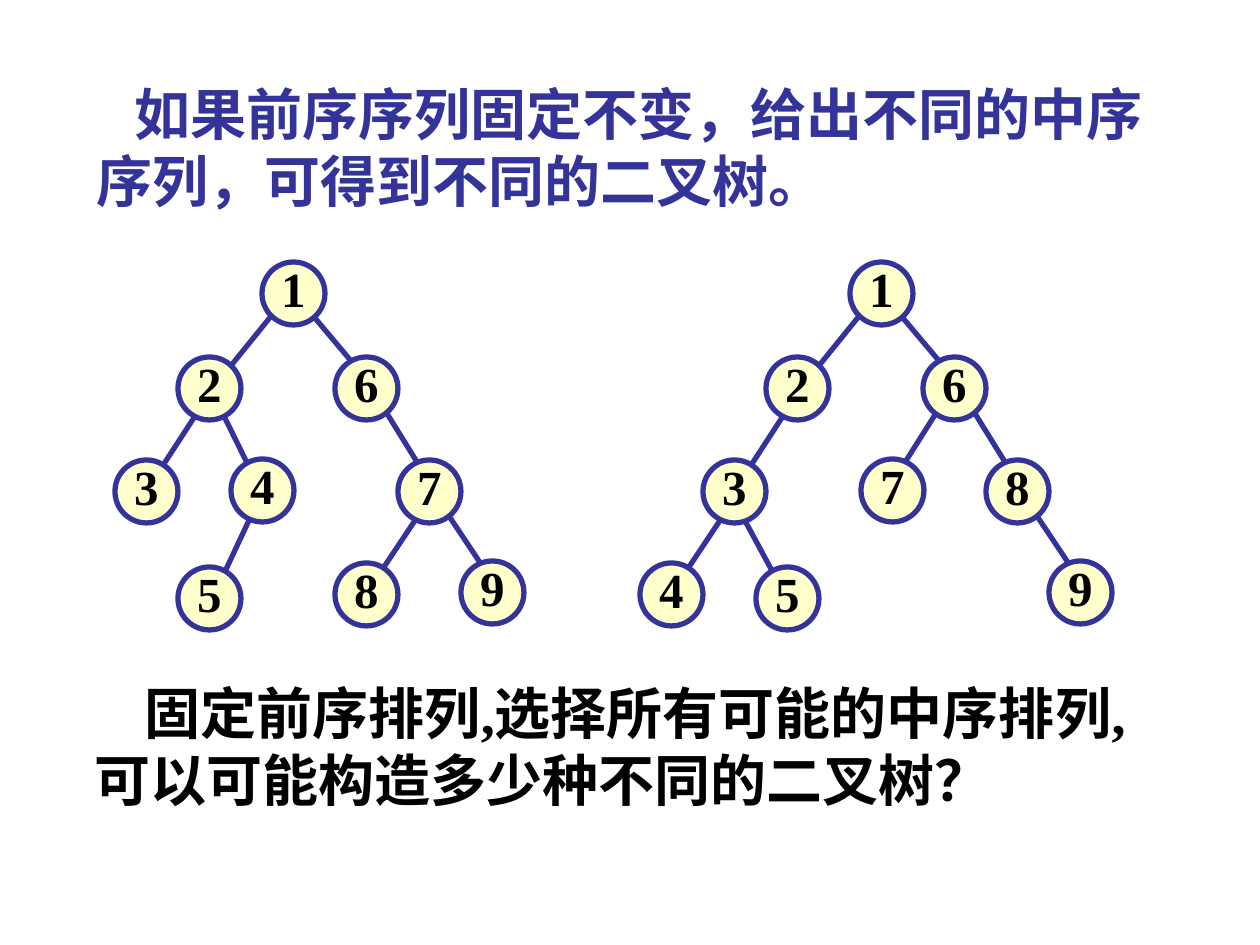
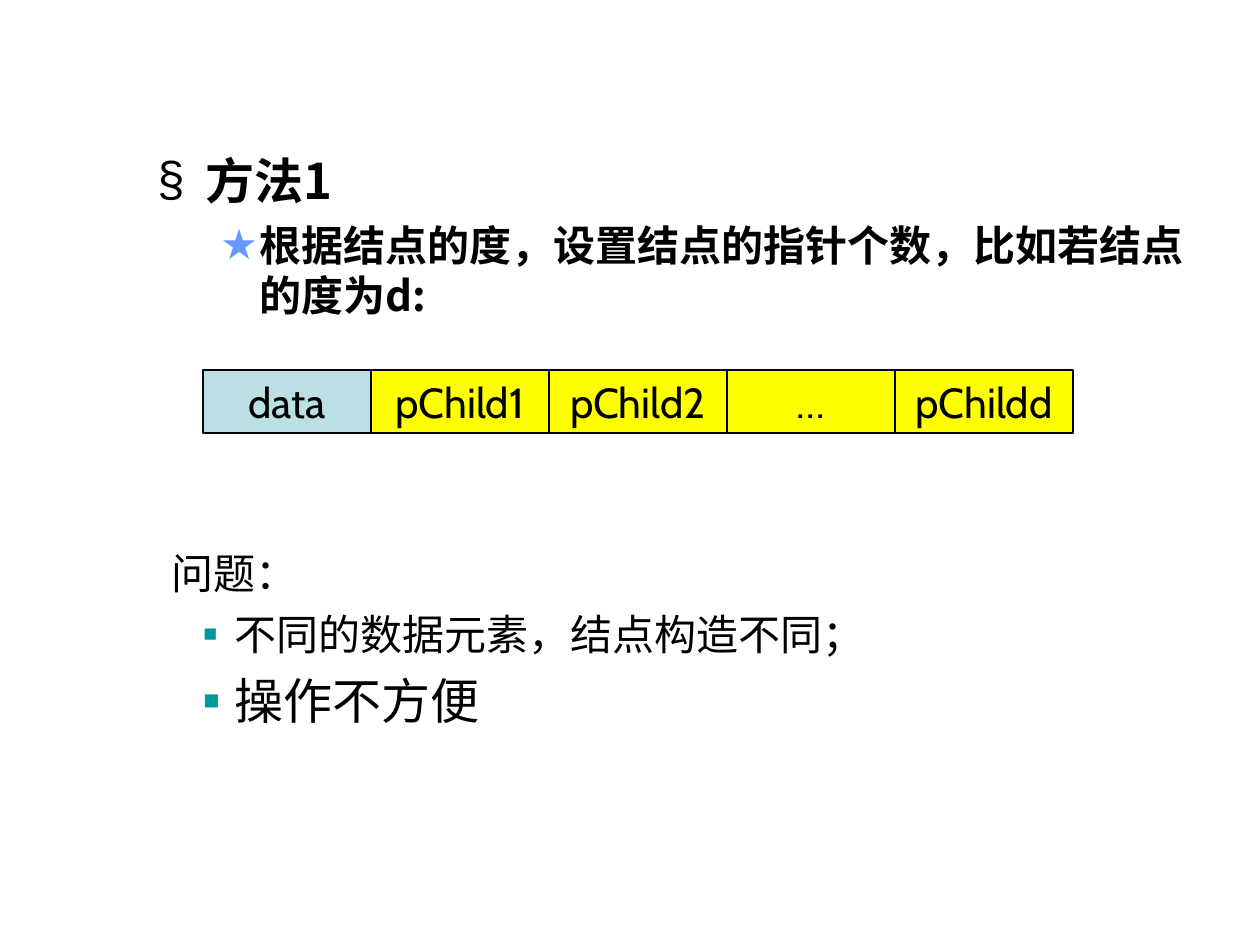
"""Build two slides on binary trees from a preorder and on tree node storage."""
from dataclasses import dataclass

from lxml import etree
from pptx import Presentation
from pptx import util as u
from pptx.dml.color import RGBColor
from pptx.enum import shapes, text
from pptx.oxml.ns import qn

EMU_PER_PX = 914400 / 126
SLIDE_W, SLIDE_H = 1260, 945
INK, NAVY, CREAM = "000000", "333399", "FFFFCC"
PALE_BLUE, YELLOW, SKY, TEAL = "BBE0E3", "FFFF00", "6699FF", "009999"
CJK, SERIF, SANS, CABIN = "Noto Sans CJK SC", "Times New Roman", "Arial", "Cabin"
NODE_SIZE = 63


@dataclass(frozen=True)
class Line:
    content: str
    size: int
    font: str = CJK
    color: str = INK
    bold: bool = False
    margin: int = 0
    indent: int = 0
    before: int = 0
    level: int = 0
    bullet: str = ""
    bullet_color: str = INK
    bullet_percent: int = 100


@dataclass(frozen=True)
class Node:
    key: str
    x: int
    y: int


@dataclass(frozen=True)
class Edge:
    x1: int
    y1: int
    x2: int
    y2: int


@dataclass(frozen=True)
class Tree:
    left: int
    frame_keys: str
    nodes: tuple[Node, ...]
    edges: tuple[Edge, ...]


@dataclass(frozen=True)
class Field:
    label: str
    width: int
    fill: str = YELLOW


FRAME_SPOTS = ((262, 262), (178, 357), (335, 357), (115, 460), (398, 460), (461, 561))
FRAME_EDGES = (
    Edge(272, 315, 221, 378),
    Edge(304, 305, 357, 368),
    Edge(199, 410, 158, 473),
    Edge(378, 399, 430, 483),
    Edge(441, 504, 483, 567),
)
TREES = (
    Tree(0, "126379",
         (Node("4", 231, 459), Node("5", 178, 567), Node("8", 335, 563)),
         (Edge(221, 410, 252, 473), Edge(252, 514, 221, 580), Edge(420, 513, 378, 576))),
    Tree(588, "126389",
         (Node("7", 273, 459), Node("5", 168, 567), Node("4", 52, 563)),
         (Edge(357, 399, 304, 483), Edge(137, 513, 95, 576), Edge(148, 504, 189, 580))),
)
FIELDS = (
    Field("data", 168, PALE_BLUE),
    Field("pChild1", 178),
    Field("pChild2", 178),
    Field("…", 168),
    Field("pChildd", 178),
)


def px(length: int) -> u.Emu:
    """Turn px into EMU."""
    return u.Emu(round(length * EMU_PER_PX))


def rgb(value: str) -> RGBColor:
    """Turn a hex string into a colour."""
    return RGBColor.from_string(value)


def format_line(paragraph, line: Line) -> None:
    """Fill one paragraph and give it its bullet, spacing and font."""
    paragraph.text = line.content
    paragraph.level = line.level
    if line.before:
        paragraph.space_before = u.Pt(line.before)
    properties = paragraph._p.get_or_add_pPr()
    properties.set("marL", str(px(line.margin)))
    properties.set("indent", str(px(line.indent)))
    if line.bullet:
        tint = etree.SubElement(properties, qn("a:buClr"))
        etree.SubElement(tint, qn("a:srgbClr"), val=line.bullet_color)
        etree.SubElement(properties, qn("a:buSzPct"), val=str(line.bullet_percent * 1000))
        etree.SubElement(properties, qn("a:buFont"), typeface=SANS)
        etree.SubElement(properties, qn("a:buChar"), char=line.bullet)
    for run in paragraph.runs:
        run.font.size = u.Pt(line.size)
        run.font.bold = line.bold
        run.font.name = line.font
        run.font.color.rgb = rgb(line.color)
        etree.SubElement(run._r.get_or_add_rPr(), qn("a:ea"), typeface=CJK)


def add_text(slide, x: int, y: int, width: int, height: int, *lines: Line) -> None:
    """Add a wrapping text box with one paragraph per line."""
    frame = slide.shapes.add_textbox(px(x), px(y), px(width), px(height)).text_frame
    frame.word_wrap = True
    for index, line in enumerate(lines):
        format_line(frame.add_paragraph() if index else frame.paragraphs[0], line)


def add_labelled(slide, kind, x: int, y: int, width: int, height: int,
                 fill: str, border: str, weight: float, label: Line):
    """Add a filled preset shape with a centred label and return its text frame."""
    shape = slide.shapes.add_shape(kind, px(x), px(y), px(width), px(height))
    shape.shadow.inherit = False
    shape.fill.solid()
    shape.fill.fore_color.rgb = rgb(fill)
    shape.line.color.rgb = rgb(border)
    shape.line.width = u.Pt(weight)
    frame = shape.text_frame
    frame.word_wrap = False
    frame.vertical_anchor = text.MSO_ANCHOR.MIDDLE
    format_line(frame.paragraphs[0], label)
    frame.paragraphs[0].alignment = text.PP_ALIGN.CENTER
    return frame


def add_edge(slide, left: int, edge: Edge) -> None:
    """Draw one branch of a tree."""
    branch = slide.shapes.add_connector(
        shapes.MSO_CONNECTOR.STRAIGHT,
        px(left + edge.x1), px(edge.y1), px(left + edge.x2), px(edge.y2))
    branch.line.color.rgb = rgb(NAVY)
    branch.line.width = u.Pt(3)
    etree.SubElement(branch._element.spPr, qn("a:effectLst"))


def add_node(slide, left: int, node: Node) -> None:
    """Draw one numbered tree node."""
    frame = add_labelled(slide, shapes.MSO_SHAPE.OVAL, left + node.x, node.y, NODE_SIZE, NODE_SIZE,
                         CREAM, NAVY, 3, Line(node.key, 28, SERIF, bold=True))
    frame.margin_left = frame.margin_right = frame.margin_top = 0
    frame.margin_bottom = px(11)


def add_tree(slide, tree: Tree) -> None:
    """Draw the branches of a tree and then its nodes."""
    for edge in FRAME_EDGES + tree.edges:
        add_edge(slide, tree.left, edge)
    frame_nodes = tuple(Node(key, *spot) for key, spot in zip(tree.frame_keys, FRAME_SPOTS))
    for node in frame_nodes + tree.nodes:
        add_node(slide, tree.left, node)


def build_preorder_slide(slide) -> None:
    """Show two trees that share one preorder sequence."""
    add_text(slide, 84, 73, 1103, 147,
             Line("如果前序序列固定不变，给出不同的中序序列，可得到不同的二叉树。",
                  32, SANS, NAVY, True, indent=38))
    for tree in TREES:
        add_tree(slide, tree)
    add_text(slide, 82, 672, 1094, 147,
             Line("固定前序排列,选择所有可能的中序排列,可以可能构造多少种不同的二叉树？",
                  32, SERIF, bold=True, indent=50))


def build_storage_slide(slide) -> None:
    """Show a node record with one pointer per child and its drawbacks."""
    add_text(slide, 145, 144, 1071, 184,
             Line("方法1", 28, bold=True, margin=48, indent=-48, bullet="§"),
             Line("根据结点的度，设置结点的指针个数，比如若结点的度为d:", 24, bold=True,
                  margin=102, indent=-39, before=6, level=1, bullet="★", bullet_color=SKY))
    x = 203
    for field in FIELDS:
        add_labelled(slide, shapes.MSO_SHAPE.RECTANGLE, x, 370, field.width, 63,
                     field.fill, INK, 0.75, Line(field.label, 24, CABIN))
        x += field.width
    square = dict(margin=63, indent=-31, level=1, bullet="■", bullet_color=TEAL, bullet_percent=55)
    add_text(slide, 159, 541, 736, 255,
             Line("问题：", 24, CABIN),
             Line("不同的数据元素，结点构造不同；", 24, before=6, **square),
             Line("操作不方便", 28, before=7, **square))


def main() -> None:
    """Build and save the presentation."""
    deck = Presentation()
    deck.slide_width, deck.slide_height = px(SLIDE_W), px(SLIDE_H)
    for build in (build_preorder_slide, build_storage_slide):
        build(deck.slides.add_slide(deck.slide_layouts[6]))
    deck.save("out.pptx")


if __name__ == "__main__":
    main()
